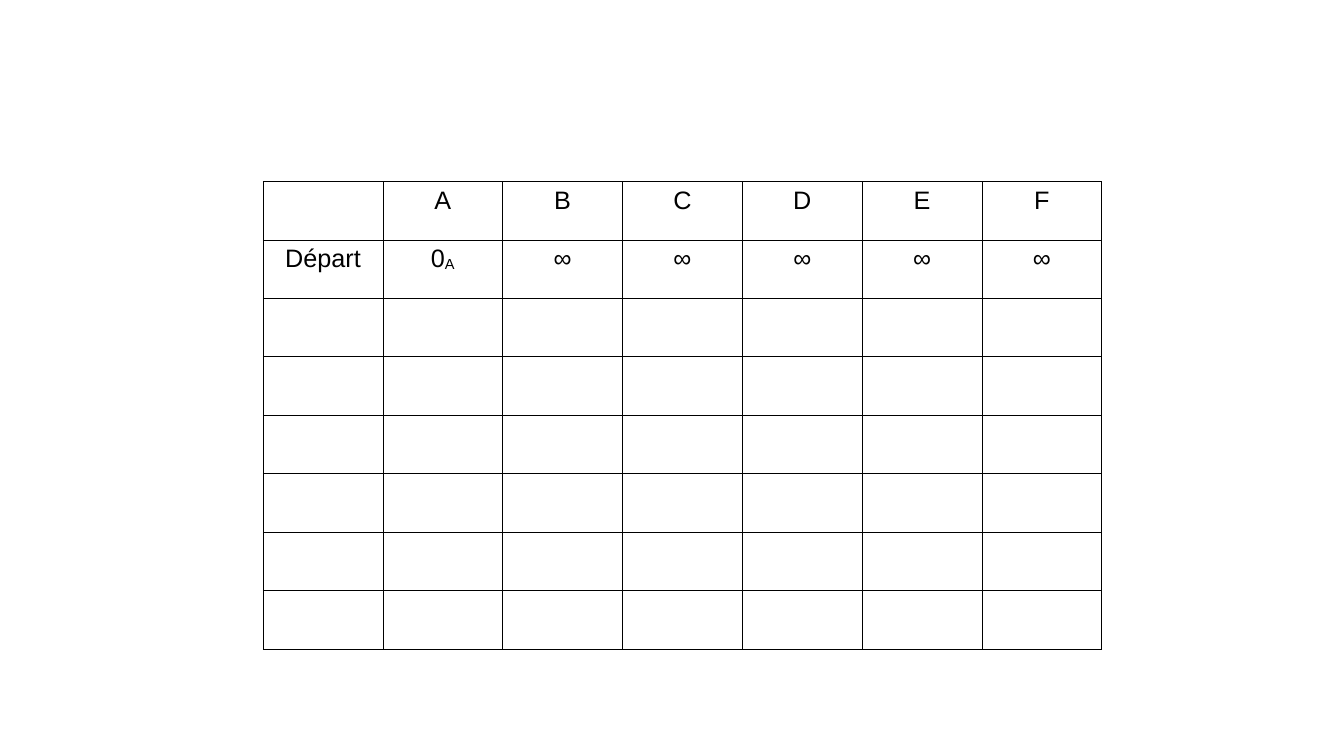
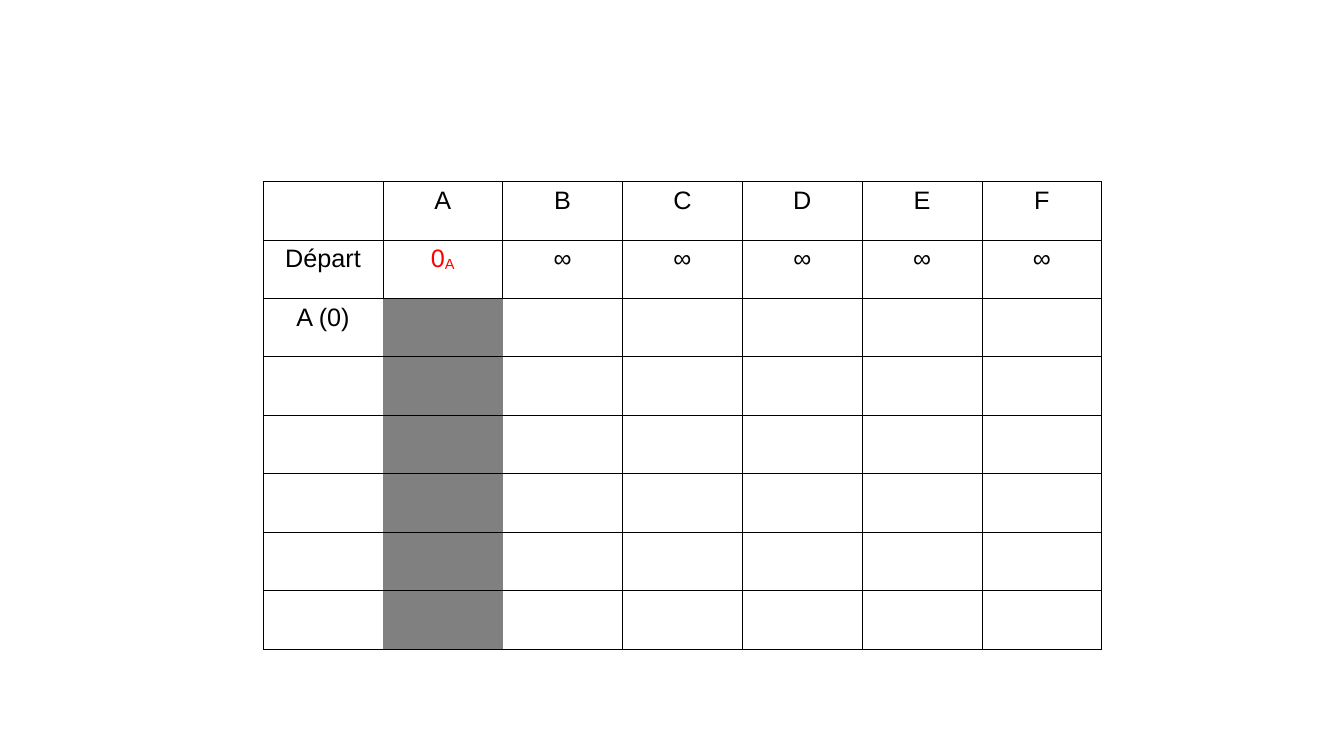
import pptx
import pptx.dml.color
import pptx.enum.text
import pptx.oxml
import pptx.oxml.ns
import pptx.util

Inches = pptx.util.Inches
Pt = pptx.util.Pt

ROWS, COLS = 8, 7
HEAD = ["", "A", "B", "C", "D", "E", "F"]
START = ["Départ", "0_A"] + ["∞"] * 5


def color(text):
    return pptx.dml.color.RGBColor.from_string(text)


class Deck:
    FONT, SIZE = "Arial", 18
    INK, MARK, DONE = "000000", "FF0000", "808080"
    LINE = 0.57

    def __init__(self):
        self.prs = pptx.Presentation()
        self.prs.slide_width = Inches(13.33)
        self.prs.slide_height = Inches(7.5)
        self.slide = None

    def page(self):
        self.slide = self.prs.slides.add_slide(self.prs.slide_layouts[6])

    def border(self, cell, side, shown):
        fill = "<a:noFill/>"
        if shown:
            fill = f'<a:solidFill><a:srgbClr val="{self.INK}"/></a:solidFill>'
        space = pptx.oxml.ns.nsdecls("a")
        line = f'<a:ln{side} {space} w="{int(Pt(self.LINE))}">{fill}</a:ln{side}>'
        cell._tc.get_or_add_tcPr().append(pptx.oxml.parse_xml(line))

    def label(self, cell, text, ink):
        """Put text in a cell; what follows "_" is lowered."""
        cell.margin_left = cell.margin_right = Inches(0.04)
        cell.margin_top = cell.margin_bottom = Inches(0.05)
        para = cell.text_frame.paragraphs[0]
        para.alignment = pptx.enum.text.PP_ALIGN.CENTER
        para.font.name = self.FONT
        para.font.size = Pt(self.SIZE)
        para.font.color.rgb = color(ink)
        base, _, low = text.partition("_")
        if base:
            para.add_run().text = base
        if low:
            run = para.add_run()
            run.text = low
            run._r.get_or_add_rPr().set("baseline", "-8000")

    def table(self, lines, marked=(), done=()):
        """Draw the grid; marked cells have red text, done cells are grey."""
        frame = self.slide.shapes.add_table(
            ROWS, COLS, Inches(2.61), Inches(1.8), Inches(8.32), Inches(4.64))
        grid = frame.table
        grid.first_row = grid.horz_banding = False
        for row in range(ROWS):
            for col in range(COLS):
                cell = grid.cell(row, col)
                text = lines[row][col] if row < len(lines) else ""
                spot = (row, col)
                self.label(cell, text, self.MARK if spot in marked else self.INK)
                grey = spot in done
                self.border(cell, "L", not grey and (row, col - 1) not in done)
                self.border(cell, "R", not grey and (row, col + 1) not in done)
                self.border(cell, "T", True)
                self.border(cell, "B", True)
                if grey:
                    cell.fill.solid()
                    cell.fill.fore_color.rgb = color(self.DONE)
                else:
                    cell.fill.background()


def main():
    deck = Deck()
    deck.page()
    deck.table([HEAD, START])
    deck.page()
    deck.table([HEAD, START, ["A (0)"] + [""] * 6],
               marked={(1, 1)}, done={(row, 1) for row in range(2, ROWS)})
    deck.prs.save("out.pptx")


if __name__ == "__main__":
    main()
